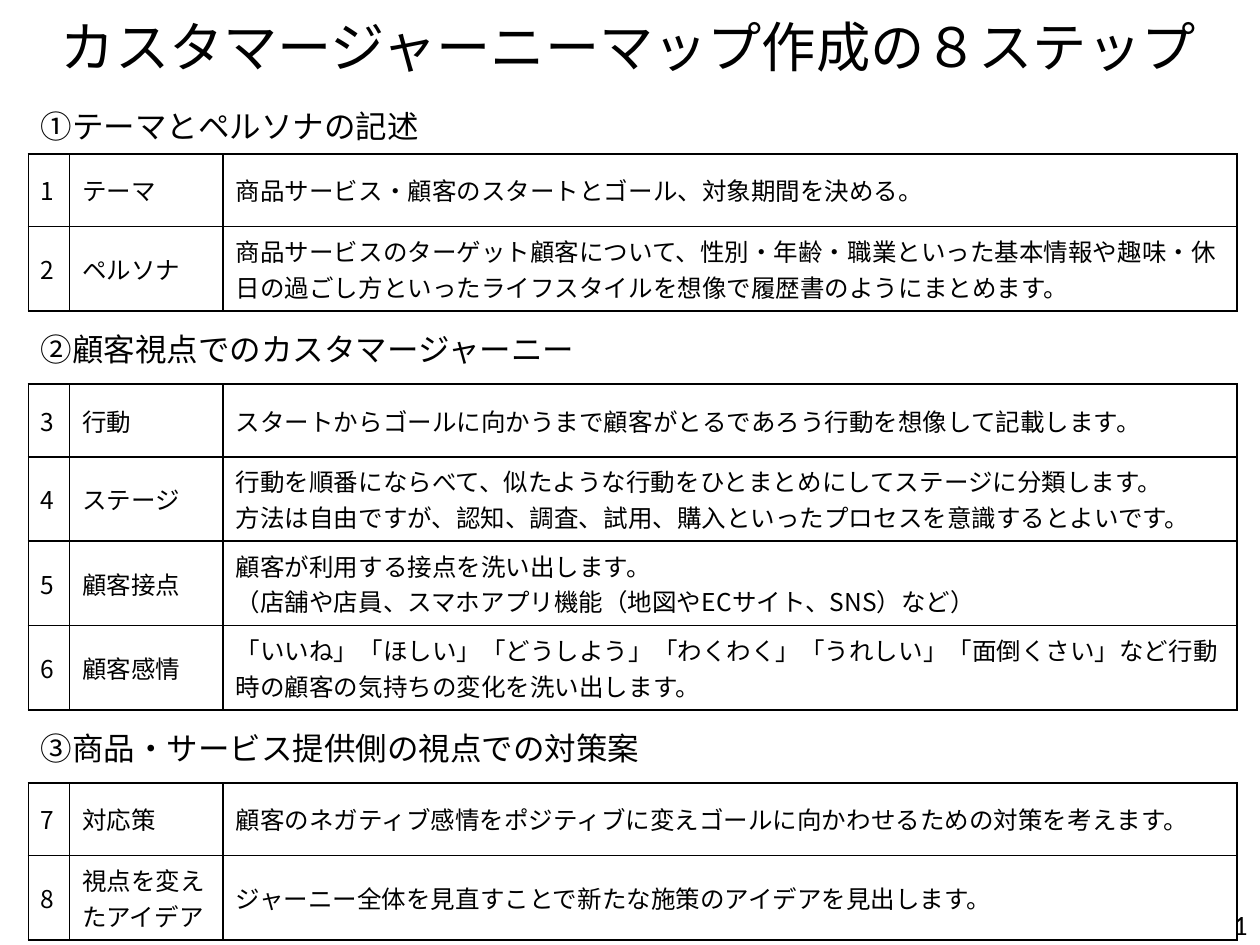
from lxml import etree
from pptx import Presentation, util as u
from pptx.dml.color import RGBColor
from pptx.enum import text
from pptx.oxml import ns

BLACK = RGBColor(0x00, 0x00, 0x00)
WHITE = RGBColor(0xFF, 0xFF, 0xFF)
JAPANESE_FONT = "Noto Sans CJK JP"
HEADING_SIZE, BODY_SIZE = 18, 14

SECTIONS = [
    ("①テーマとペルソナの記述", [
        ("テーマ", "商品サービス・顧客のスタートとゴール、対象期間を決める。"),
        ("ペルソナ", "商品サービスのターゲット顧客について、性別・年齢・職業といった基本情報や"
                     "趣味・休日の過ごし方といったライフスタイルを想像で履歴書のようにまとめます。"),
    ]),
    ("②顧客視点でのカスタマージャーニー", [
        ("行動", "スタートからゴールに向かうまで顧客がとるであろう行動を想像して記載します。"),
        ("ステージ", "行動を順番にならべて、似たような行動をひとまとめにしてステージに分類します。\n"
                     "方法は自由ですが、認知、調査、試用、購入といったプロセスを意識するとよいです。"),
        ("顧客接点", "顧客が利用する接点を洗い出します。\n"
                     "（店舗や店員、スマホアプリ機能（地図やECサイト、SNS）など）"),
        ("顧客感情", "「いいね」「ほしい」「どうしよう」「わくわく」「うれしい」「面倒くさい」など"
                     "行動時の顧客の気持ちの変化を洗い出します。"),
    ]),
    ("③商品・サービス提供側の視点での対策案", [
        ("対応策", "顧客のネガティブ感情をポジティブに変えゴールに向かわせるための対策を考えます。"),
        ("視点を変えたアイデア", "ジャーニー全体を見直すことで新たな施策のアイデアを見出します。"),
    ]),
]


def write_text(frame, content, size, latin_font, alignment):
    frame.text = content
    for paragraph in frame.paragraphs:
        paragraph.alignment = alignment
        for run in paragraph.runs:
            run.font.color.rgb = BLACK
            for name, value in {"size": u.Pt(size), "name": latin_font}.items():
                setattr(run.font, name, value)
            latin = run.font._element.find(ns.qn("a:latin"))
            east_asian = etree.Element(ns.qn("a:ea"), typeface=JAPANESE_FONT)
            latin.addnext(east_asian)


def set_borders(cell, visible_sides):
    """Draw a 1 pt line on the sides named by L, R, T and B, and none on the others."""
    properties = cell._tc.get_or_add_tcPr()
    for position, side in enumerate("LRTB"):
        line = etree.Element(ns.qn(f"a:ln{side}"), w=str(u.Pt(1)))
        if side in visible_sides:
            fill = etree.SubElement(line, ns.qn("a:solidFill"))
            etree.SubElement(fill, ns.qn("a:srgbClr"), val=str(BLACK))
        else:
            etree.SubElement(line, ns.qn("a:noFill"))
        properties.insert(position, line)


presentation = Presentation()
presentation.slide_width, presentation.slide_height = u.Cm(25.4), u.Cm(19.05)
slide = presentation.slides.add_slide(presentation.slide_layouts[6])

# Title and page number
for content, box, size, alignment, anchor in [
    ("カスタマージャーニーマップ作成の８ステップ", (-0.04, 0, 25.4, 1.83), 31,
     text.PP_ALIGN.CENTER, text.MSO_ANCHOR.MIDDLE),
    ("1", (21.74, 18.08, 3.66, 1.02), 16,
     text.PP_ALIGN.RIGHT, text.MSO_ANCHOR.BOTTOM),
]:
    frame = slide.shapes.add_textbox(*map(u.Cm, box)).text_frame
    for name, value in {"word_wrap": True, "vertical_anchor": anchor}.items():
        setattr(frame, name, value)
    write_text(frame, content, size, "Calibri", alignment)

# One heading row per section, followed by its numbered steps
rows = []
for heading, steps in SECTIONS:
    rows.append((heading,))
    for label, description in steps:
        number = sum(len(row) == 3 for row in rows) + 1
        rows.append((str(number), label, description))

FIRST_HEADING, ONE_LINE, TWO_LINES = 1.17, 1.47, 1.7
column_widths = [0.83, 3.1, 20.44]
row_heights = [FIRST_HEADING, ONE_LINE, TWO_LINES,
               ONE_LINE, ONE_LINE, TWO_LINES, TWO_LINES, TWO_LINES,
               ONE_LINE, ONE_LINE, TWO_LINES]
table = slide.shapes.add_table(
    len(rows), len(column_widths), u.Cm(0.57), u.Cm(1.93),
    u.Cm(sum(column_widths)), u.Cm(sum(row_heights))).table
for option in ("first_row", "horz_banding"):
    setattr(table, option, False)
for column, width in zip(table.columns, column_widths):
    column.width = u.Cm(width)

for row_index, (contents, height) in enumerate(zip(rows, row_heights)):
    table.rows[row_index].height = u.Cm(height)
    is_heading = len(contents) == 1
    sides = "LRTB"
    if is_heading:
        sides = "TB" if row_index else "B"
        table.cell(row_index, 0).merge(table.cell(row_index, 2))
    for cell in table.rows[row_index].cells:
        cell.fill.solid()
        cell.fill.fore_color.rgb = WHITE
        cell.vertical_anchor = text.MSO_ANCHOR.MIDDLE
        set_borders(cell, sides)
    size = HEADING_SIZE if is_heading else BODY_SIZE
    for column_index, content in enumerate(contents):
        write_text(table.cell(row_index, column_index).text_frame, content, size,
                   JAPANESE_FONT, text.PP_ALIGN.LEFT)

presentation.save("out.pptx")
